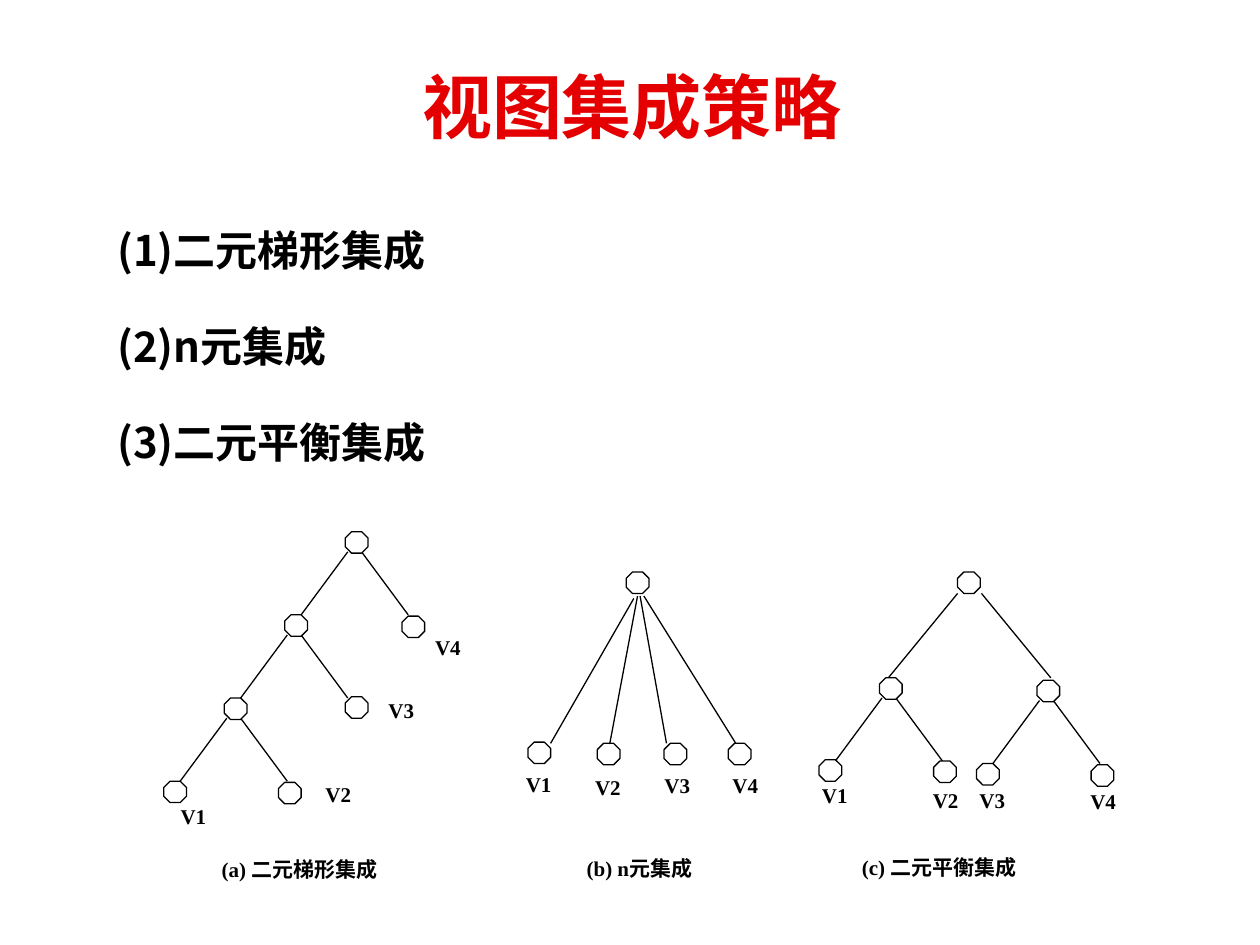
from pptx import Presentation
from pptx import util as u
from pptx.dml.color import RGBColor
from pptx.enum import shapes, text
from pptx.oxml.ns import qn
from lxml import etree

HUES = {"title": "E40000", "ink": "000000", "paper": "FFFFFF"}
SANS, SERIF = "Noto Sans CJK SC", "Times New Roman"
TITLE = "视图集成策略"
ITEMS = ["(1)二元梯形集成", "(2)n元集成", "(3)二元平衡集成"]
NODE = (0.18, 0.17)
LABEL = (0.37, 0.33)
CAPTION = (1.65, 0.33)
STEP = (0.37, 0.5)
MID, JUST = text.PP_ALIGN.CENTER, text.PP_ALIGN.JUSTIFY

TREES = [
    {
        "forks": [(2.74, 4.22), (2.26, 4.88), (1.78, 5.54)],
        "leaves": [(1.3, 6.2), (2.21, 6.21), (2.74, 5.53), (3.19, 4.89)],
        "labels": [(1.35, 6.38), (2.5, 6.2), (3, 5.54), (3.37, 5.04)],
        "caption": ("(a) 二元梯形集成", 1.76, 6.8, JUST),
    },
    {
        "root": (4.97, 4.54),
        "edges": [(5.03, 4.75, 4.37, 5.9), (5.06, 4.73, 4.84, 5.9),
                  (5.08, 4.73, 5.29, 5.9), (5.11, 4.73, 5.84, 5.9)],
        "leaves": [(4.19, 5.89), (4.74, 5.9), (5.27, 5.9), (5.78, 5.9)],
        "labels": [(4.09, 6.12), (4.64, 6.15), (5.19, 6.13), (5.73, 6.13)],
        "caption": ("(b) n元集成", 4.25, 6.79, MID),
    },
    {
        "root": (7.6, 4.54),
        "edges": [(7.6, 4.71, 7.05, 5.38), (7.79, 4.71, 8.34, 5.38)],
        "forks": [(6.98, 5.38), (8.23, 5.4)],
        "leaves": [(6.5, 6.03), (7.41, 6.04), (7.75, 6.06), (8.66, 6.07)],
        "labels": [(6.44, 6.21), (7.32, 6.25), (7.69, 6.25), (8.57, 6.26)],
        "caption": ("(c) 二元平衡集成", 6.84, 6.78, JUST),
    },
]


def hue(name):
    return RGBColor.from_string(HUES[name])


def write(para, words, size, face, tint="ink"):
    run = para.add_run()
    run.text = words
    font = run.font
    font.size, font.bold, font.name = u.Pt(size), True, face
    font.color.rgb = hue(tint)
    east = etree.SubElement(run._r.get_or_add_rPr(), qn("a:ea"))
    east.set("typeface", SANS)


def place(shape, *box):
    shape.left, shape.top, shape.width, shape.height = map(u.Inches, box)
    frame = shape.text_frame
    frame.word_wrap = True
    frame.auto_size = text.MSO_AUTO_SIZE.NONE
    return frame


def plate(group, kind, spot, size):
    shape = group.shapes.add_shape(kind, *map(u.Inches, spot + size))
    shape.shadow.inherit = False
    shape.fill.solid()
    shape.fill.fore_color.rgb = hue("paper")
    return shape


def node(group, spot):
    shape = plate(group, shapes.MSO_SHAPE.OCTAGON, spot, NODE)
    shape.line.color.rgb = hue("ink")
    shape.line.width = u.Pt(0.75)


def edge(group, *ends):
    line = group.shapes.add_connector(
        shapes.MSO_CONNECTOR.STRAIGHT, *map(u.Inches, ends))
    line.line.color.rgb = hue("ink")
    line.line.width = u.Pt(0.75)
    etree.SubElement(line._element.spPr, qn("a:effectLst"))


def label(group, words, spot, size, align=MID):
    shape = plate(group, shapes.MSO_SHAPE.RECTANGLE, spot, size)
    shape.line.fill.background()
    frame = shape.text_frame
    frame.word_wrap = True
    frame.vertical_anchor = text.MSO_ANCHOR.TOP
    frame.margin_left = frame.margin_right = 0
    frame.margin_top = frame.margin_bottom = 0
    para = frame.paragraphs[0]
    para.alignment = align
    write(para, words, 12, SERIF)


def draw(slide, tree):
    group = slide.shapes.add_group_shape()
    forks = tree.get("forks", [])
    roots = [tree["root"]] if "root" in tree else []
    for ends in tree.get("edges", []):
        edge(group, *ends)
    for x, y in forks:
        for dx, side in ((0.02, -1), (0.13, 1)):
            a, b = x + dx, y + 0.16
            edge(group, a, b, a + side * STEP[0], b + STEP[1])
    for spot in roots + forks + tree["leaves"]:
        node(group, spot)
    for i, spot in enumerate(tree["labels"], 1):
        label(group, f"V{i}", spot, LABEL)
    words, x, y, align = tree["caption"]
    label(group, words, (x, y), CAPTION, align)


def main():
    deck = Presentation()
    deck.slide_width, deck.slide_height = u.Inches(10), u.Inches(7.5)
    slide = deck.slides.add_slide(deck.slide_layouts[1])

    body = place(slide.placeholders[1], 0.83, 1.45, 8.82, 5.15)
    body.vertical_anchor = text.MSO_ANCHOR.TOP
    for i, item in enumerate(ITEMS):
        para = body.add_paragraph() if i else body.paragraphs[0]
        props = para._p.get_or_add_pPr()
        props.set("marL", "0")
        props.set("indent", "0")
        etree.SubElement(props, qn("a:buNone"))
        para.line_spacing = 1.7
        para.space_before = u.Pt(6 if i else 0)
        write(para, item, 24, SANS)

    for tree in TREES:
        draw(slide, tree)

    head = place(slide.shapes.title, 1.14, 0.44, 7.75, 0.8)
    head.vertical_anchor = text.MSO_ANCHOR.MIDDLE
    head.paragraphs[0].alignment = MID
    write(head.paragraphs[0], TITLE, 40, "Arial", "title")
    deck.save("out.pptx")


if __name__ == "__main__":
    main()
